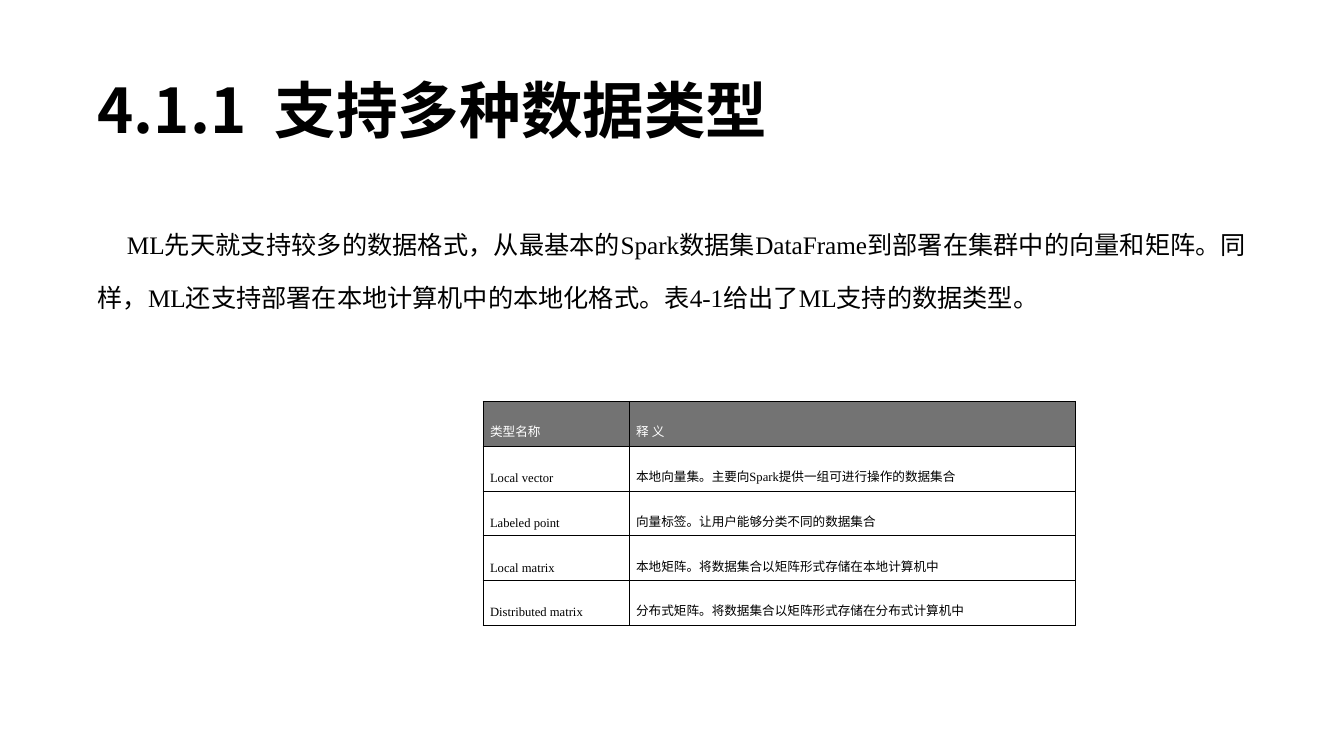
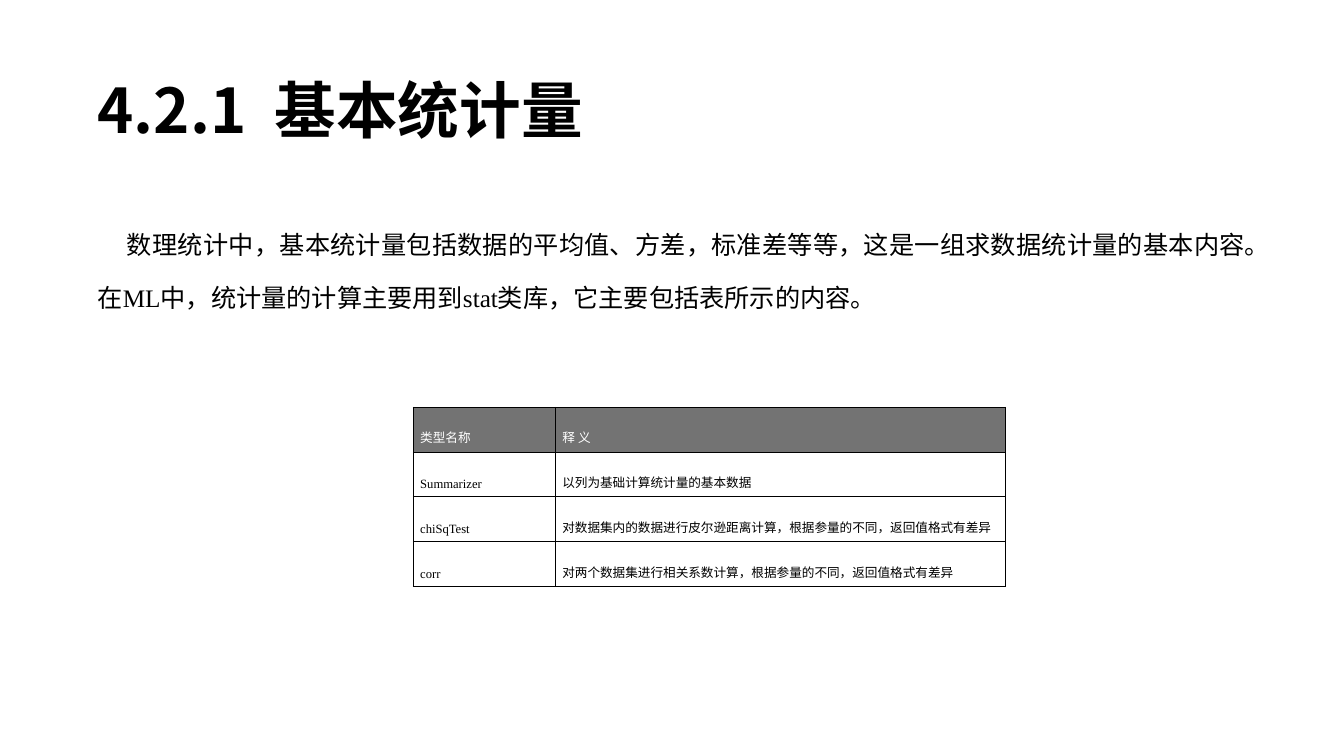
from dataclasses import dataclass
from itertools import groupby
from typing import Any

from lxml.etree import SubElement
from pptx import Presentation
from pptx.dml.color import RGBColor
from pptx.enum.text import MSO_ANCHOR as Anchor, MSO_AUTO_SIZE as AutoSize, PP_ALIGN as Align
from pptx.oxml import parse_xml
from pptx.oxml.ns import nsdecls, qn
from pptx.util import Cm, Pt

BLACK, WHITE, HEADER_GREY = "000000", "FFFFFF", "737373"
CJK_FONT, LATIN_FONT = "Noto Sans CJK SC", "Times New Roman"
LEFT, WIDTH = 2.33, 29.21
ROW_HEIGHT = 1.13
HEADER = ("类型名称", "释 义")


def margins(size: float, prefix: str = "margin_") -> dict[str, Any]:
    return {prefix + side: Cm(size) for side in ("left", "right", "top", "bottom")}


TITLE_FRAME = {"vertical_anchor": Anchor.MIDDLE, "word_wrap": True, "auto_size": AutoSize.NONE, **margins(0.13)}
BODY_FRAME = {**TITLE_FRAME, "vertical_anchor": Anchor.TOP}
TITLE_PARAGRAPH = {"alignment": Align.LEFT, "line_spacing": 0.9}
BODY_PARAGRAPH = {"alignment": Align.JUSTIFY, "line_spacing": Pt(38), "space_before": Pt(0)}
CELL_PARAGRAPH = {"alignment": Align.JUSTIFY, "line_spacing": Pt(24)}
TITLE_FONT = {"size": Pt(44), "bold": True}
BODY_FONT = {"size": Pt(18)}
CELL_FONT = {"size": Pt(9), "bold": False}
CELL_FORMAT = {"vertical_anchor": Anchor.TOP, **margins(0.14)}


@dataclass(frozen=True)
class TypeTable:
    left: float
    top: float
    columns: tuple[float, float]
    entries: tuple[tuple[str, str], ...]


@dataclass(frozen=True)
class Topic:
    title: str
    summary: str
    summary_height: float
    types: TypeTable


TOPICS = (
    Topic(
        "4.1.1  支持多种数据类型",
        "ML先天就支持较多的数据格式，从最基本的Spark数据集DataFrame到部署在集群中的向量和矩阵。"
        "同样，ML还支持部署在本地计算机中的本地化格式。表4-1给出了ML支持的数据类型。",
        3.68,
        TypeTable(12.17, 10.11, (3.68, 11.26), (
            ("Local vector", "本地向量集。主要向Spark提供一组可进行操作的数据集合"),
            ("Labeled point", "向量标签。让用户能够分类不同的数据集合"),
            ("Local matrix", "本地矩阵。将数据集合以矩阵形式存储在本地计算机中"),
            ("Distributed matrix", "分布式矩阵。将数据集合以矩阵形式存储在分布式计算机中"),
        )),
    ),
    Topic(
        "4.2.1  基本统计量",
        "数理统计中，基本统计量包括数据的平均值、方差，标准差等等，这是一组求数据统计量的基本内容。"
        "在ML中，统计量的计算主要用到stat类库，它主要包括表所示的内容。",
        4.47,
        TypeTable(10.41, 10.26, (3.58, 11.35), (
            ("Summarizer", "以列为基础计算统计量的基本数据"),
            ("chiSqTest", "对数据集内的数据进行皮尔逊距离计算，根据参量的不同，返回值格式有差异"),
            ("corr", "对两个数据集进行相关系数计算，根据参量的不同，返回值格式有差异"),
        )),
    ),
)


def rgb(value: str) -> RGBColor:
    return RGBColor.from_string(value)


def apply(target: Any, values: dict[str, Any]) -> None:
    for attribute, value in values.items():
        setattr(target, attribute, value)


def add_run(paragraph: Any, text: str, typeface: str, font: dict[str, Any], color: str) -> None:
    run = paragraph.add_run()
    run.text = text
    apply(run.font, {**font, "name": typeface})
    run.font.color.rgb = rgb(color)
    SubElement(run._r.get_or_add_rPr(), qn("a:ea")).set("typeface", typeface)


def add_mixed_text(paragraph: Any, text: str, font: dict[str, Any], color: str) -> None:
    for is_latin, letters in groupby(text, str.isascii):
        add_run(paragraph, "".join(letters), LATIN_FONT if is_latin else CJK_FONT, font, color)


def set_indent(paragraph: Any, left: float, first_line: float) -> None:
    properties = paragraph._p.get_or_add_pPr()
    properties.set("marL", str(Cm(left)))
    properties.set("indent", str(Cm(first_line)))


def place(placeholder: Any, top: float, height: float, frame: dict[str, Any]) -> Any:
    apply(placeholder, {"left": Cm(LEFT), "top": Cm(top), "width": Cm(WIDTH), "height": Cm(height)})
    apply(placeholder.text_frame, frame)
    return placeholder.text_frame.paragraphs[0]


def add_title(slide: Any, title: str) -> None:
    heading = place(slide.shapes.title, 1.01, 3.68, TITLE_FRAME)
    apply(heading, TITLE_PARAGRAPH)
    add_run(heading, title, CJK_FONT, TITLE_FONT, BLACK)


def add_summary(slide: Any, topic: Topic) -> None:
    summary = place(slide.placeholders[1], 5.07, topic.summary_height, BODY_FRAME)
    apply(summary, BODY_PARAGRAPH)
    set_indent(summary, 0, 0.74)
    SubElement(summary._p.get_or_add_pPr(), qn("a:buNone"))
    add_mixed_text(summary, topic.summary, BODY_FONT, BLACK)


def add_borders(cell: Any) -> None:
    properties = cell._tc.get_or_add_tcPr()
    for side in ("lnL", "lnR", "lnT", "lnB"):
        properties.append(parse_xml(
            f'<a:{side} {nsdecls("a")} w="{Pt(0.5)}"><a:solidFill>'
            f'<a:srgbClr val="{BLACK}"/></a:solidFill></a:{side}>'
        ))


def fill_cell(cell: Any, text: str, is_header: bool) -> None:
    apply(cell, CELL_FORMAT)
    add_borders(cell)
    if is_header:
        cell.fill.solid()
        cell.fill.fore_color.rgb = rgb(HEADER_GREY)
    else:
        cell.fill.background()
    entry = cell.text_frame.paragraphs[0]
    apply(entry, CELL_PARAGRAPH)
    set_indent(entry, 0.04, 0)
    add_mixed_text(entry, text, CELL_FONT, WHITE if is_header else BLACK)


def add_type_table(slide: Any, types: TypeTable) -> None:
    rows = (HEADER, *types.entries)
    grid = slide.shapes.add_table(
        len(rows), len(HEADER), Cm(types.left), Cm(types.top),
        Cm(sum(types.columns)), Cm(ROW_HEIGHT * len(rows)),
    ).table
    apply(grid, {"first_row": False, "horz_banding": False})
    for column, width in zip(grid.columns, types.columns):
        column.width = Cm(width)
    for row_index, row in enumerate(rows):
        grid.rows[row_index].height = Cm(ROW_HEIGHT)
        for column_index, text in enumerate(row):
            fill_cell(grid.cell(row_index, column_index), text, row_index == 0)


def main() -> None:
    deck = Presentation()
    apply(deck, {"slide_width": Cm(33.87), "slide_height": Cm(19.05)})
    for topic in TOPICS:
        slide = deck.slides.add_slide(deck.slide_layouts[1])
        add_title(slide, topic.title)
        add_summary(slide, topic)
        add_type_table(slide, topic.types)
    deck.save("out.pptx")


if __name__ == "__main__":
    main()
